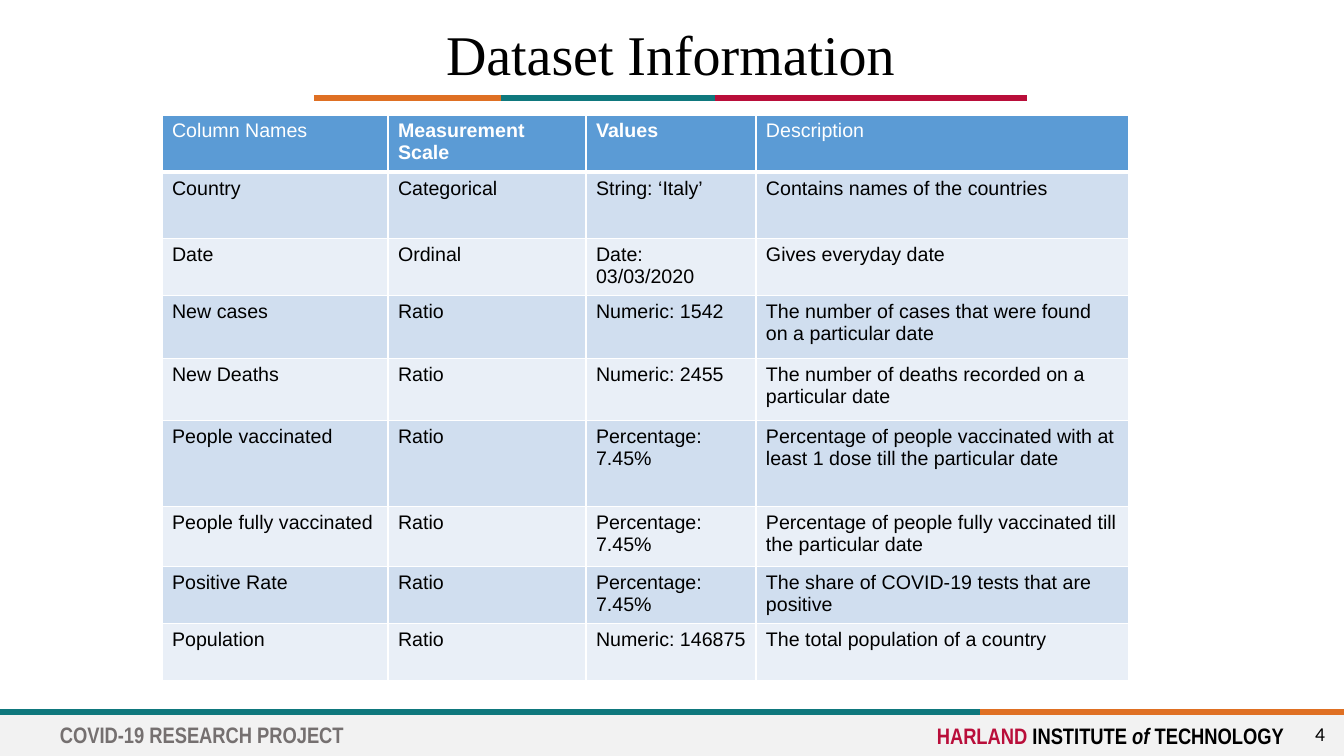
import lxml.etree
import pptx
import pptx.dml.color
import pptx.enum.shapes
import pptx.enum.text
import pptx.oxml
import pptx.oxml.ns
import pptx.util

PX = 914400 / 100.8
THEME = {
    "orange": "DF7023", "teal": "0F787D", "crimson": "B90E3A",
    "black": "000000", "white": "FFFFFF", "gray": "757070", "footer": "F2F2F2",
    "header": "5B9BD5", "bands": ("D0DEEF", "E9EFF7"),
    "title": ("Times New Roman", 40), "table": ("Arial", 14),
    "brand": ("Arial Narrow", 16), "number": ("Calibri", 14),
    "rule": 4, "border": 1, "header_border": 3,
}
ALIGN = pptx.enum.text.PP_ALIGN
ANCHOR = pptx.enum.text.MSO_ANCHOR


def emu(*lengths):
    return [round(n * PX) for n in lengths]


def format_run(r, style, color, bold=False):
    r.font.name, size = THEME[style]
    r.font.size = pptx.util.Pt(size)
    r.font.bold = bold
    r.font.color.rgb = pptx.dml.color.RGBColor.from_string(THEME[color])


prs = pptx.Presentation()
prs.slide_width, prs.slide_height = emu(1344, 756)
s = prs.slides.add_slide(prs.slide_layouts[6])

# Coloured rules: footer first, then the ones under the title
rules = [
    (672, 1344, 712, "orange"),
    (0, 980, 712, "teal"),
    (314, 748, 98, "orange"),
    (501, 866, 98, "teal"),
    (715, 1027, 98, "crimson"),
]
for x1, x2, y, color in rules:
    line = s.shapes.add_connector(
        pptx.enum.shapes.MSO_CONNECTOR.STRAIGHT, *emu(x1, y, x2, y))
    line.line.color.rgb = pptx.dml.color.RGBColor.from_string(THEME[color])
    line.line.width = pptx.util.Pt(THEME["rule"])
    lxml.etree.SubElement(line._element.spPr, pptx.oxml.ns.qn("a:effectLst"))

footer = s.shapes.add_shape(
    pptx.enum.shapes.MSO_SHAPE.RECTANGLE, *emu(0, 715, 1344, 41))
footer.shadow.inherit = False
footer.fill.solid()
footer.fill.fore_color.rgb = pptx.dml.color.RGBColor.from_string(THEME["footer"])
footer.line.fill.background()

# Text boxes: place, style, bold, alignment, anchor, vertical inset, coloured runs
texts = [
    ((927, 717, 367, 37), "brand", True, ALIGN.LEFT, ANCHOR.TOP, 5,
     [("HARLAND", "crimson"), (" INSTITUTE ", "black"), ("of", "black"),
      (" TECHNOLOGY", "black")]),
    ((50, 716, 454, 37), "brand", True, ALIGN.LEFT, ANCHOR.TOP, 5,
     [("COVID-19 RESEARCH PROJECT", "gray")]),
    ((63, 1, 1215, 92), "title", False, ALIGN.CENTER, ANCHOR.BOTTOM, 5,
     [("Dataset Information", "black")]),
    ((1295, 712, 40, 44), "number", False, ALIGN.RIGHT, ANCHOR.TOP, 10,
     [("4", "black")]),
]
for place, style, bold, align, anchor, inset, runs in texts:
    tf = s.shapes.add_textbox(*emu(*place)).text_frame
    tf.word_wrap = True
    tf.vertical_anchor = anchor
    tf.margin_top, tf.margin_bottom = emu(inset, inset)
    p = tf.paragraphs[0]
    p.alignment = align
    if style == "title":
        p.line_spacing = 0.9
    for text, color in runs:
        r = p.add_run()
        r.text = text
        format_run(r, style, color, bold)
        r.font.italic = text == "of"

rows = [
    ("Column Names", "Measurement Scale", "Values", "Description"),
    ("Country", "Categorical", "String: ‘Italy’", "Contains names of the countries"),
    ("Date", "Ordinal", "Date: 03/03/2020", "Gives everyday date"),
    ("New cases", "Ratio", "Numeric: 1542",
     "The number of cases that were found on a particular date"),
    ("New Deaths", "Ratio", "Numeric: 2455",
     "The number of deaths recorded on a particular date"),
    ("People vaccinated", "Ratio", "Percentage: 7.45%",
     "Percentage of people vaccinated with at least 1 dose till the particular date"),
    ("People fully vaccinated", "Ratio", "Percentage: 7.45%",
     "Percentage of people fully vaccinated till the particular date"),
    ("Positive Rate", "Ratio", "Percentage: 7.45%",
     "The share of COVID-19 tests that are positive"),
    ("Population", "Ratio", "Numeric: 146875", "The total population of a country"),
]
widths = (226, 198, 170, 373)
heights = (57, 66, 57, 63, 62, 86, 60, 57, 57)
bold_headers = ("Measurement Scale", "Values")

table = s.shapes.add_table(
    len(rows), len(widths), *emu(162, 115, sum(widths), sum(heights))).table
for column, width in zip(table.columns, emu(*widths)):
    column.width = width
for row, height in zip(table.rows, emu(*heights)):
    row.height = height

for i, row in enumerate(rows):
    fill = THEME["bands"][(i - 1) % 2] if i else THEME["header"]
    for j, text in enumerate(row):
        cell = table.cell(i, j)
        tcPr = cell._tc.get_or_add_tcPr()
        for side in "LRTB":
            under_header = (i, side) in ((0, "B"), (1, "T"))
            width = THEME["header_border" if under_header else "border"]
            tcPr.append(pptx.oxml.parse_xml(
                f'<a:ln{side} {pptx.oxml.ns.nsdecls("a")} w="{pptx.util.Pt(width)}">'
                f'<a:solidFill><a:srgbClr val="{THEME["white"]}"/></a:solidFill>'
                f'</a:ln{side}>'))
        cell.fill.solid()
        cell.fill.fore_color.rgb = pptx.dml.color.RGBColor.from_string(fill)
        cell.text_frame.text = text
        format_run(cell.text_frame.paragraphs[0].runs[0], "table",
                   "black" if i else "white", text in bold_headers)

prs.save("out.pptx")
